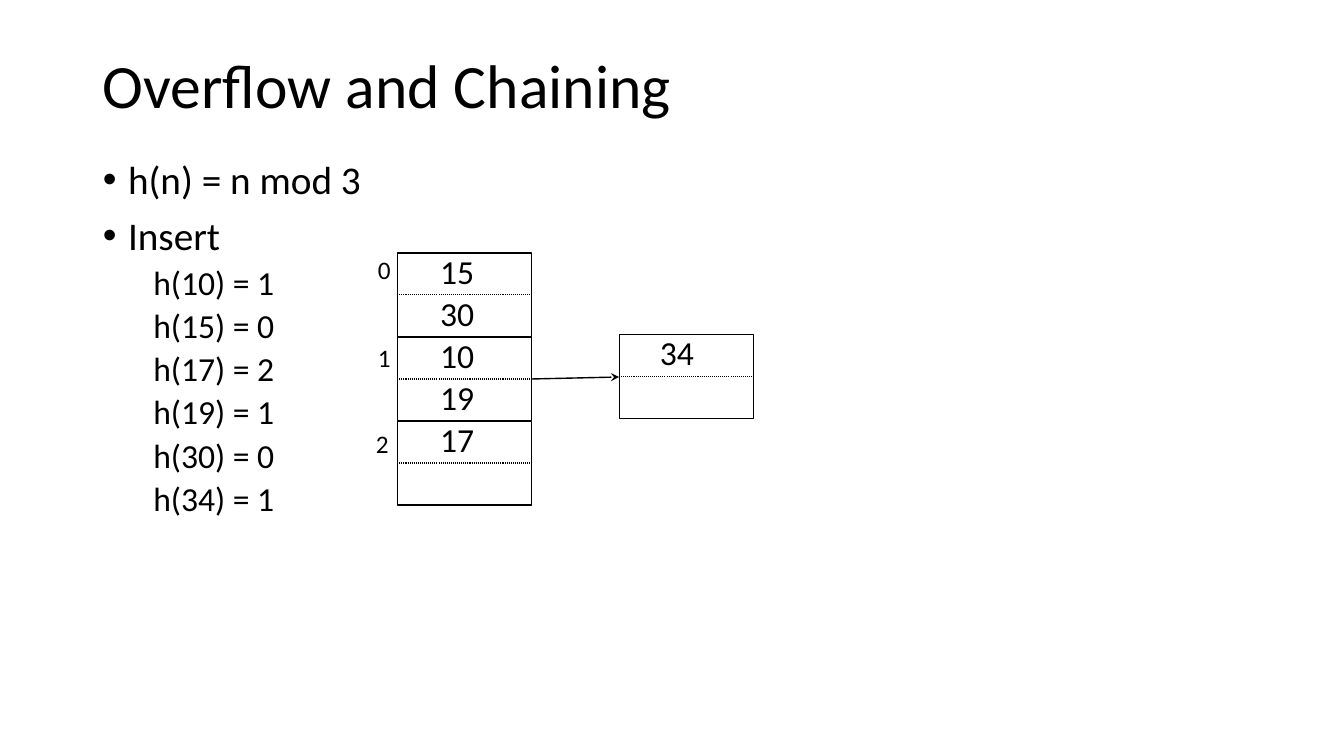
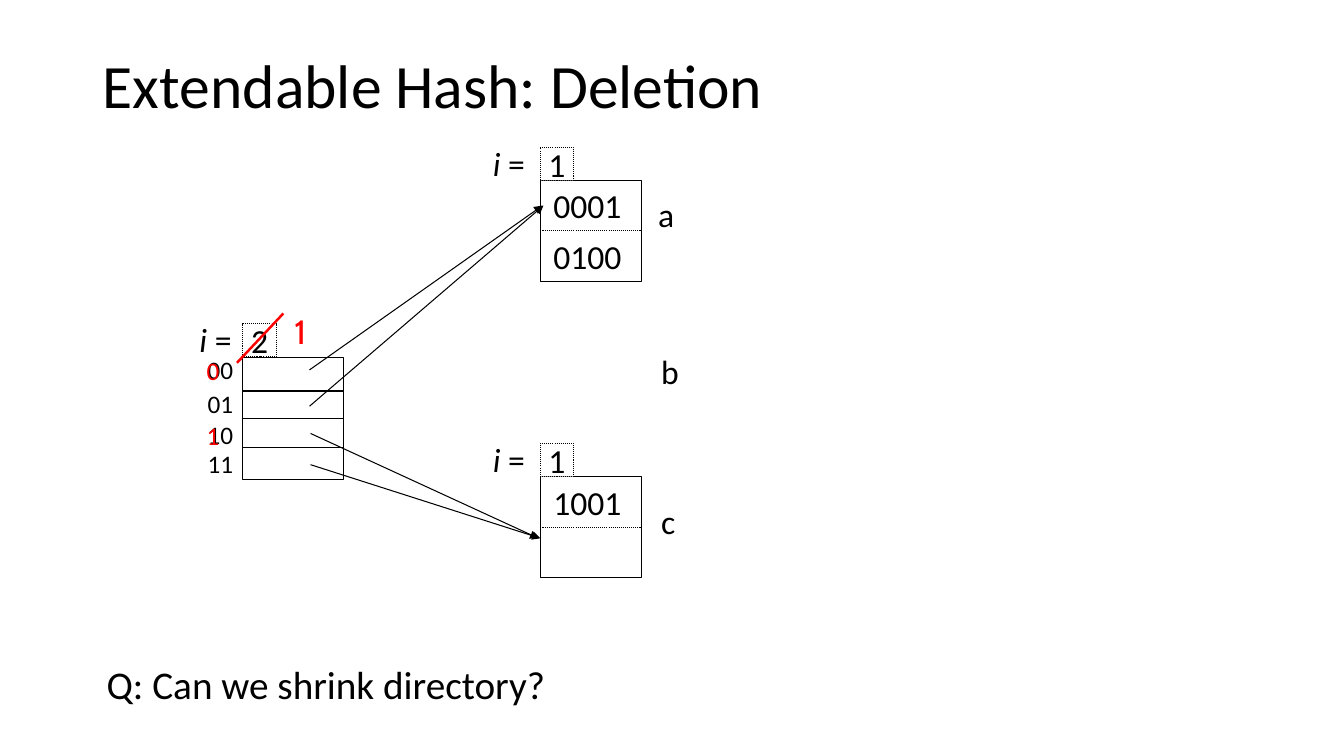
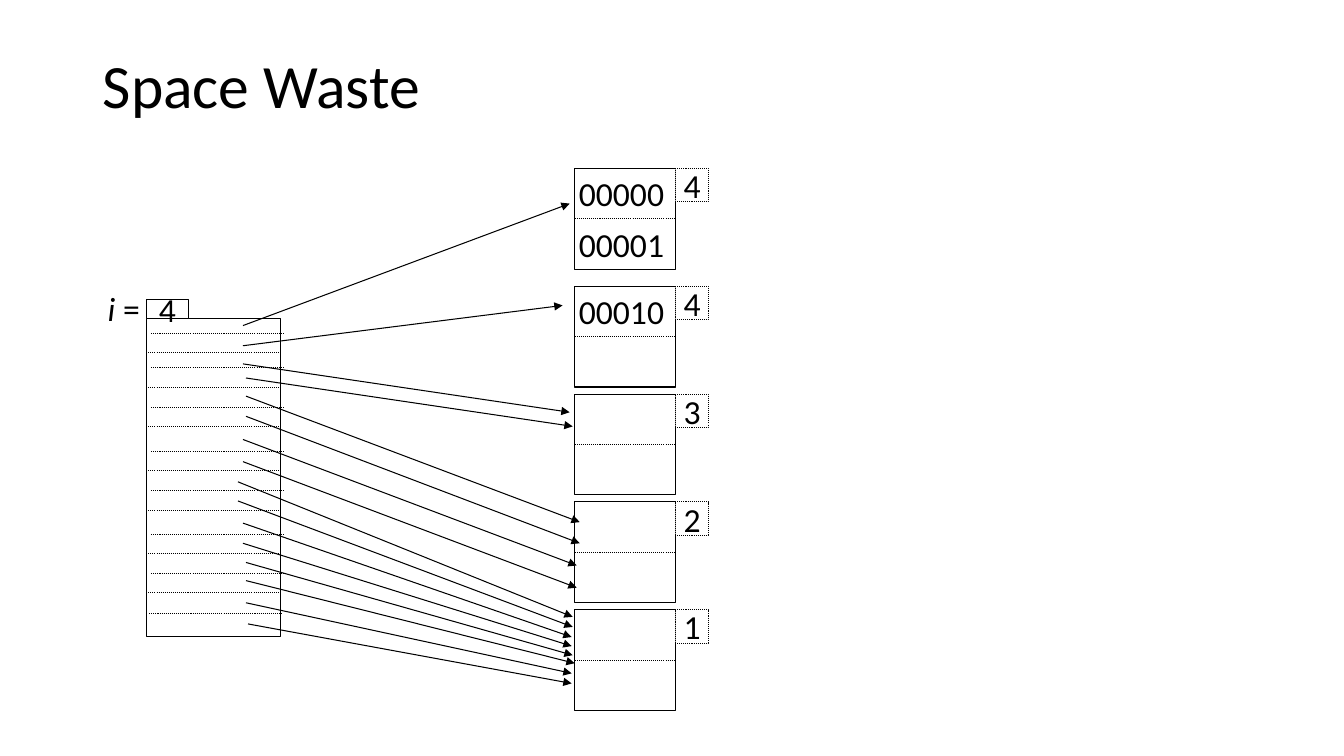
from dataclasses import dataclass
from typing import NamedTuple

from lxml.etree import SubElement
from pptx import Presentation
from pptx.dml.color import RGBColor
from pptx.enum.dml import MSO_LINE_DASH_STYLE as Dash
from pptx.enum.shapes import MSO_CONNECTOR as Connector, MSO_SHAPE as Shape
from pptx.enum.text import MSO_ANCHOR as Anchor, MSO_AUTO_SIZE as AutoSize, PP_ALIGN as Align
from pptx.oxml.ns import qn
from pptx.util import Inches, Pt


@dataclass(frozen=True)
class Theme:
    font: str = "Calibri"
    mark_font: str = "Cabin"
    ink: RGBColor = RGBColor(0, 0, 0)
    paper: RGBColor = RGBColor(255, 255, 255)
    mark: RGBColor = RGBColor(255, 0, 0)
    title: int = 44
    body: int = 28
    value: int = 24
    index: int = 18
    thin: float = 0.75
    medium: float = 1
    thick: float = 1.75


class Box(NamedTuple):
    left: float
    top: float
    width: float
    height: float

    def inches(self):
        return [Inches(length) for length in self]


THEME = Theme()
TITLE_BOX = Box(0.92, 0.33, 11.5, 1.09)
BODY_BOX = Box(0.92, 1.54, 11.5, 5.22)
TITLE_AND_BODY, TITLE_ONLY = 1, 5
CHIP = 0.33


def style(para, size, color=THEME.ink, font=THEME.font):
    para.font.size = Pt(size)
    para.font.name = font
    para.font.color.rgb = color


def move(shape, box):
    shape.left, shape.top, shape.width, shape.height = box.inches()


def new_page(deck, layout, heading):
    page = deck.slides.add_slide(deck.slide_layouts[layout])
    title = page.shapes.title
    move(title, TITLE_BOX)
    frame = title.text_frame
    frame.text = heading
    frame.auto_size = AutoSize.NONE
    frame.vertical_anchor = Anchor.MIDDLE
    para = frame.paragraphs[0]
    para.alignment = Align.LEFT
    para.line_spacing = 0.9
    style(para, THEME.title)
    return page


def fill_body(page, box, items):
    body = page.placeholders[1]
    move(body, box)
    frame = body.text_frame
    frame.auto_size = AutoSize.NONE
    frame.text = "\n".join(text for text, level in items)
    for para, (text, level) in zip(frame.paragraphs, items):
        para.level = level
        para.line_spacing = 0.9
        para.space_before = Pt(5 if level else 10)
        properties = para._p.get_or_add_pPr()
        properties.set("marL", str(Inches(0.75 if level else 0.25)))
        properties.set("indent", str(Inches(-0.25)))
        if level:
            SubElement(properties, qn("a:buNone"))
        style(para, THEME.value if level else THEME.body)


def text_width(text, size):
    return 0.2 + len(text) * size * 0.0071


def label(page, left, top, text, size=THEME.value, color=THEME.ink, font=THEME.font, align=Align.LEFT):
    height = 0.5 if size == THEME.value else 0.4
    box = Box(left, top, text_width(text, size), height)
    frame = page.shapes.add_textbox(*box.inches()).text_frame
    frame.word_wrap = False
    frame.text = text
    frame.paragraphs[0].alignment = align
    style(frame.paragraphs[0], size, color, font)


def depth_label(page, left, top):
    frame = page.shapes.add_textbox(*Box(left, top, 0.52, 0.5).inches()).text_frame
    frame.word_wrap = False
    para = frame.paragraphs[0]
    style(para, THEME.value)
    for text, italic in (("i", True), (" =", False)):
        span = para.add_run()
        span.text = text
        span.font.italic = italic


def block(page, box, text="", dash=None):
    shape = page.shapes.add_shape(Shape.RECTANGLE, *box.inches())
    shape.shadow.inherit = False
    shape.fill.solid()
    shape.fill.fore_color.rgb = THEME.paper
    shape.line.color.rgb = THEME.ink
    shape.line.width = Pt(THEME.thin)
    if dash:
        shape.line.dash_style = dash
    if text:
        frame = shape.text_frame
        frame.text = text
        frame.word_wrap = False
        frame.vertical_anchor = Anchor.MIDDLE
        frame.paragraphs[0].alignment = Align.CENTER
        style(frame.paragraphs[0], THEME.value)


def chip(page, left, top, text):
    block(page, Box(left, top, CHIP, CHIP), text, Dash.ROUND_DOT)


def line(page, start, end, width=THEME.thin, color=THEME.ink, dash=None, head=None):
    points = [Inches(length) for length in (*start, *end)]
    connector = page.shapes.add_connector(Connector.STRAIGHT, *points)
    connector.line.color.rgb = color
    connector.line.width = Pt(width)
    if dash:
        connector.line.dash_style = dash
    properties = connector.element.spPr
    if head:
        SubElement(properties.find(qn("a:ln")), qn("a:tailEnd"), type=head)
    SubElement(properties, qn("a:effectLst"))


def dotted(page, left, top, width):
    line(page, (left, top), (left + width, top), dash=Dash.ROUND_DOT)


def bucket(page, box, values=(), shift=-0.035, lift=0):
    block(page, box)
    cell = box.height / 2
    dotted(page, box.left, box.top + cell, box.width)
    for row, value in enumerate(values):
        left = box.left + (box.width - text_width(value, THEME.value)) / 2 + shift
        label(page, left, box.top + row * cell + (cell - 0.5) / 2 - lift, value, align=Align.CENTER)


def hash_table(page, box, rows):
    height = box.height / len(rows)
    for row, (values, index_left, index_top) in enumerate(rows):
        bucket(page, Box(box.left, box.top + row * height, box.width, height), values, -0.07, 0.03)
        label(page, box.left + index_left, box.top + index_top, str(row), THEME.index)


def small_directory(page, box):
    block(page, box)
    chip(page, box.left, box.top - 0.34, "2")
    depth_label(page, box.left - 0.53, box.top - 0.44)
    for offset in (0.33, 0.6, 0.89):
        top = box.top + offset
        line(page, (box.left, top), (box.left + box.width, top), THEME.medium)
    index_left = box.left - 0.45
    for text, offset in (("00", -0.08), ("01", 0.25), ("10", 0.56), ("11", 0.85)):
        label(page, index_left, box.top + offset, text, THEME.index)
    for text, offset in (("0", -0.07), ("1", 0.57)):
        label(page, index_left - 0.01, box.top + offset, text, THEME.index, THEME.mark)
    label(page, box.left + 0.41, box.top - 0.51, "1", THEME.value, THEME.mark, THEME.mark_font)
    line(page, (box.left - 0.06, box.top + 0.05), (box.left + 0.4, box.top - 0.44),
         THEME.thick, THEME.mark)


def large_directory(page, box):
    block(page, box)
    block(page, Box(box.left, box.top - 0.19, 0.42, 0.19), "4")
    depth_label(page, box.left - 0.48, box.top - 0.35)
    for offset in (0.34, 0.68, 1.07, 1.51, 1.9, 2.33, 2.72):
        dotted(page, box.left, box.top + offset, box.width)
        dotted(page, box.left + 0.05, box.top + offset - 0.19, box.width)
    dotted(page, box.left + 0.03, box.top + 2.93, box.width)


def chaining_page(deck):
    page = new_page(deck, TITLE_AND_BODY, "Overflow and Chaining")
    hashes = ((10, 1), (15, 0), (17, 2), (19, 1), (30, 0), (34, 1))
    items = [("h(n) = n mod 3", 0), ("Insert ", 0)]
    items += [(f"h({key}) = {slot}", 1) for key, slot in hashes]
    fill_body(page, BODY_BOX, items)
    hash_table(page, Box(3.94, 2.51, 1.33, 2.5), (
        (("15", "30"), -0.29, -0.04),
        (("10", "19"), -0.29, 0.84),
        (("17",), -0.31, 1.69),
    ))
    bucket(page, Box(6.14, 3.32, 1.33, 0.83), ("34",), -0.09, 0.03)
    line(page, (5.27, 3.76), (6.14, 3.74), THEME.medium, head="stealth")


def deletion_page(deck):
    page = new_page(deck, TITLE_ONLY, "Extendable Hash: Deletion")
    small_directory(page, Box(2.41, 3.55, 1, 1.21))
    for top, values in ((1.79, ("0001", "0100")), (4.73, ("1001",))):
        bucket(page, Box(5.36, top, 1, 1), values)
        chip(page, 5.36, top - CHIP, "1")
        depth_label(page, 4.79, top - 0.42)
    for name, left, top in (("a", 6.43, 1.87), ("b", 6.46, 3.43), ("c", 6.46, 4.92)):
        label(page, left, top, name)
    for start, end in (
        ((3.07, 3.67), (5.38, 2.04)),
        ((3.07, 4.03), (5.39, 2.04)),
        ((3.08, 4.3), (5.34, 5.34)),
        ((3.08, 4.61), (5.36, 5.34)),
    ):
        line(page, start, end, head="triangle")
    question = page.shapes.add_textbox(*Box(0.96, 6.5, 8.5, 0.77).inches()).text_frame
    question.word_wrap = True
    question.text = "Q: Can we shrink directory?"
    style(question.paragraphs[0], THEME.body)


def waste_page(deck):
    page = new_page(deck, TITLE_ONLY, "Space Waste")
    for top, depth, values in (
        (1.67, "4", ("00000", "00001")),
        (2.84, "4", ("00010",)),
        (3.91, "3", ()),
        (4.98, "2", ()),
        (6.05, "1", ()),
    ):
        box = Box(5.7, top, 1, 1)
        bucket(page, box, values)
        chip(page, box.left + box.width, top, depth)
    large_directory(page, Box(1.45, 3.16, 1.33, 3.16))
    for start, end in (
        ((2.41, 3.23), (5.65, 2.02)),
        ((2.41, 3.43), (5.58, 3.03)),
        ((2.41, 3.61), (5.65, 4.09)),
        ((2.44, 3.75), (5.68, 4.23)),
        ((2.44, 3.93), (5.75, 5.18)),
        ((2.44, 4.13), (5.75, 5.39)),
        ((2.41, 4.36), (5.72, 5.61)),
        ((2.41, 4.58), (5.72, 5.83)),
        ((2.36, 4.78), (5.68, 6.12)),
        ((2.36, 4.97), (5.68, 6.22)),
        ((2.41, 5.19), (5.67, 6.32)),
        ((2.41, 5.39), (5.67, 6.41)),
        ((2.44, 5.58), (5.68, 6.5)),
        ((2.44, 5.76), (5.7, 6.58)),
        ((2.44, 5.98), (5.67, 6.68)),
        ((2.46, 6.19), (5.67, 6.78)),
    ):
        line(page, start, end, head="triangle")


deck = Presentation()
deck.slide_width, deck.slide_height = Inches(13.33), Inches(7.5)
for build_page in (chaining_page, deletion_page, waste_page):
    build_page(deck)
deck.save("out.pptx")
